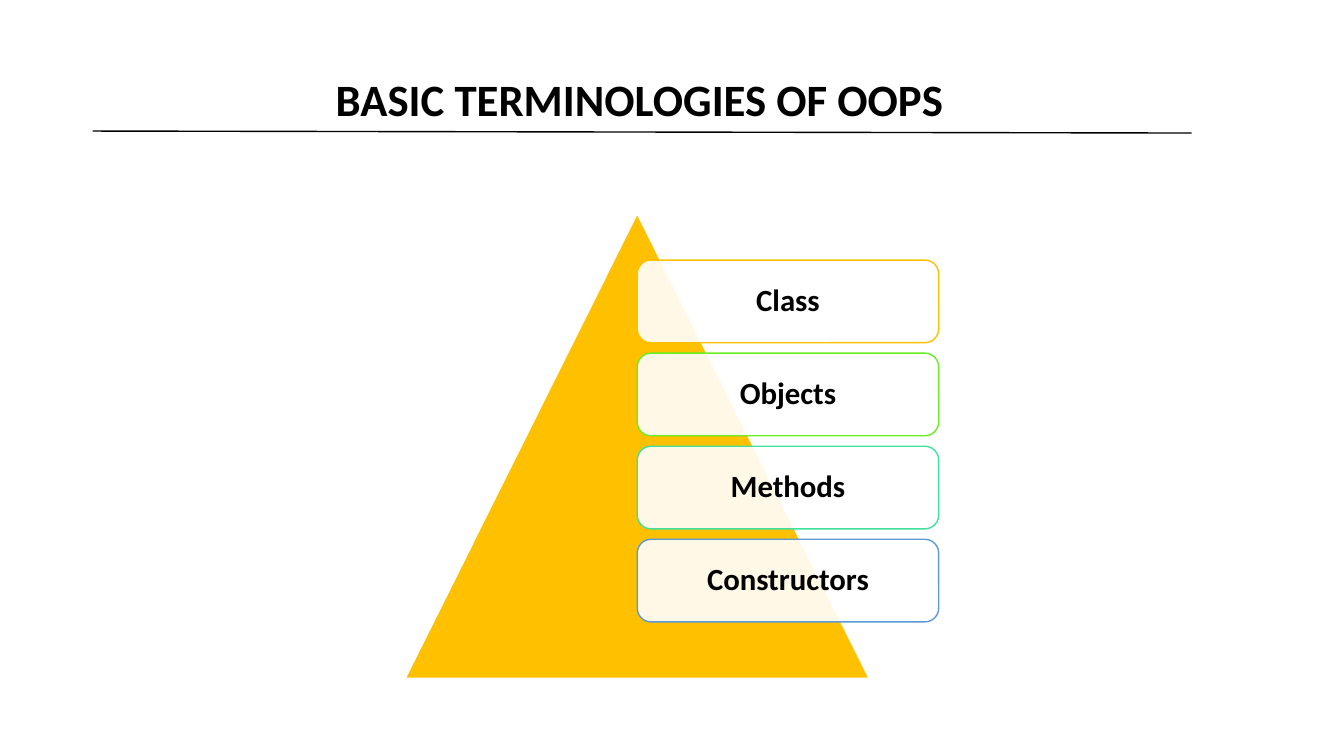
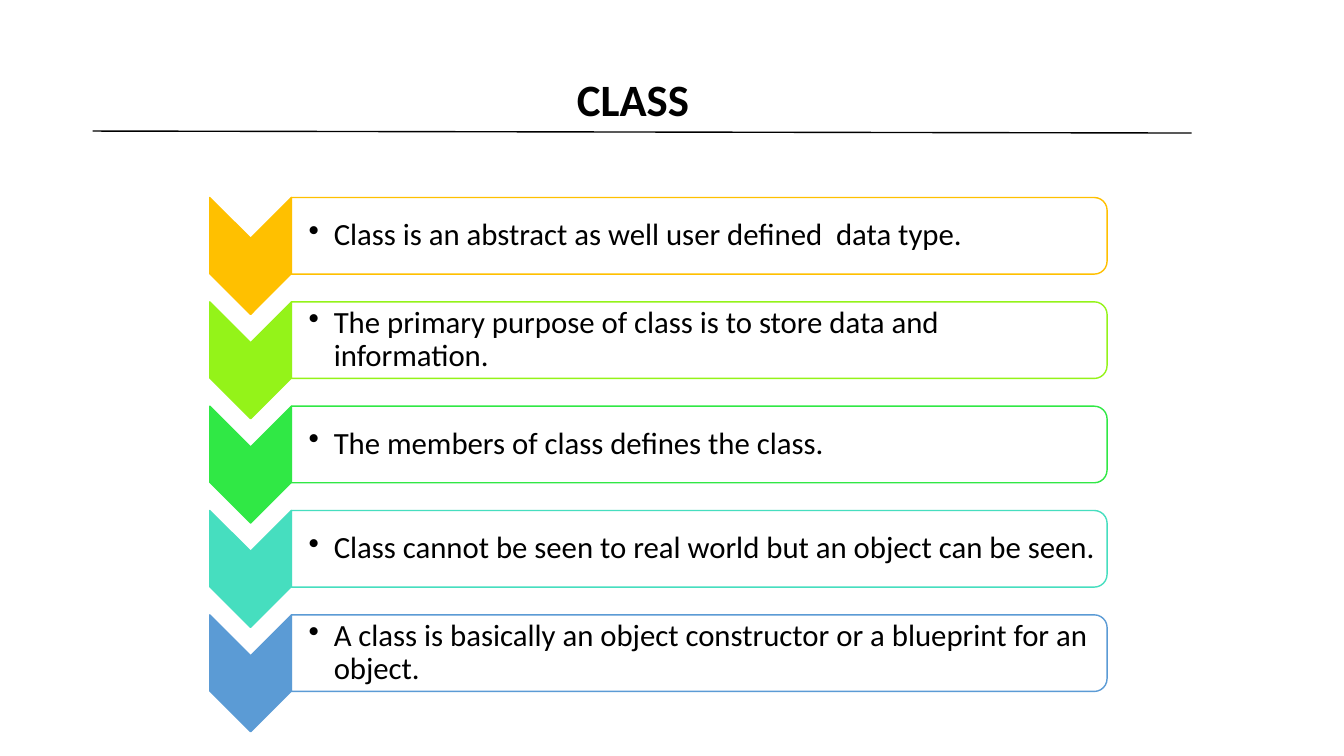
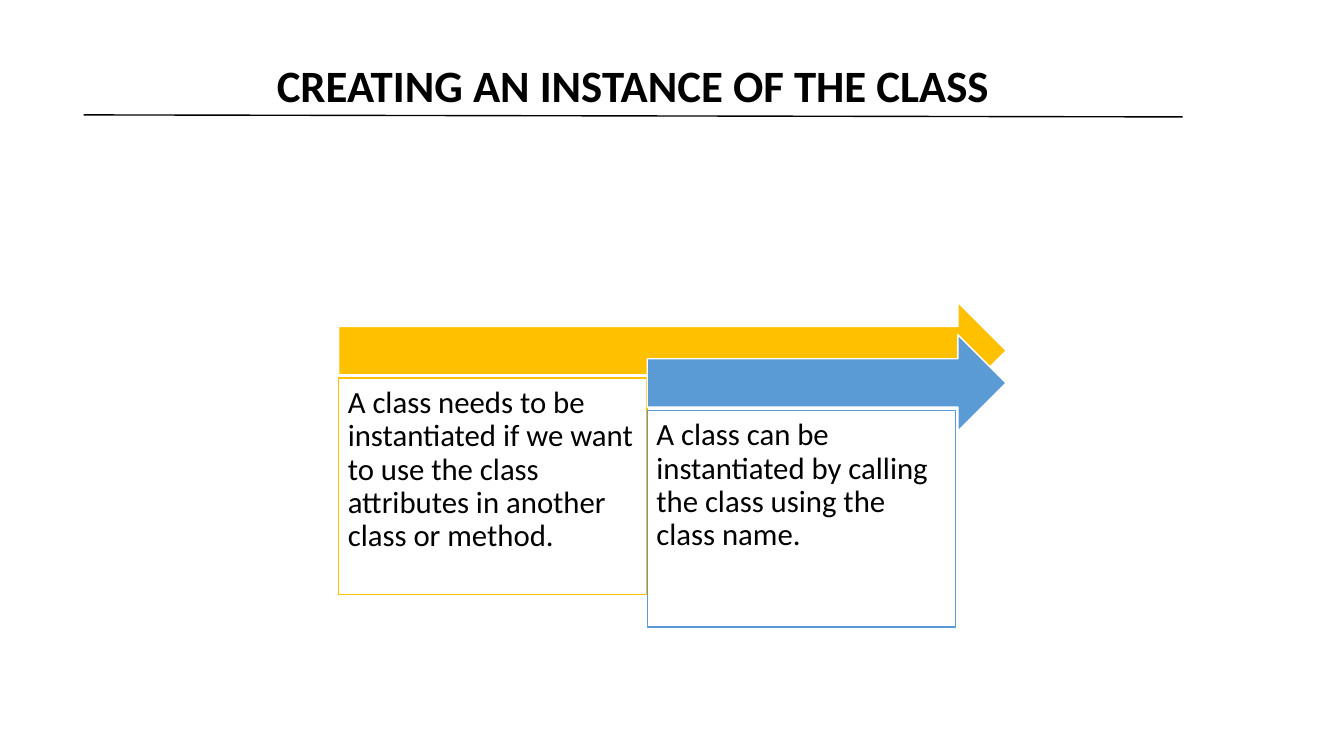
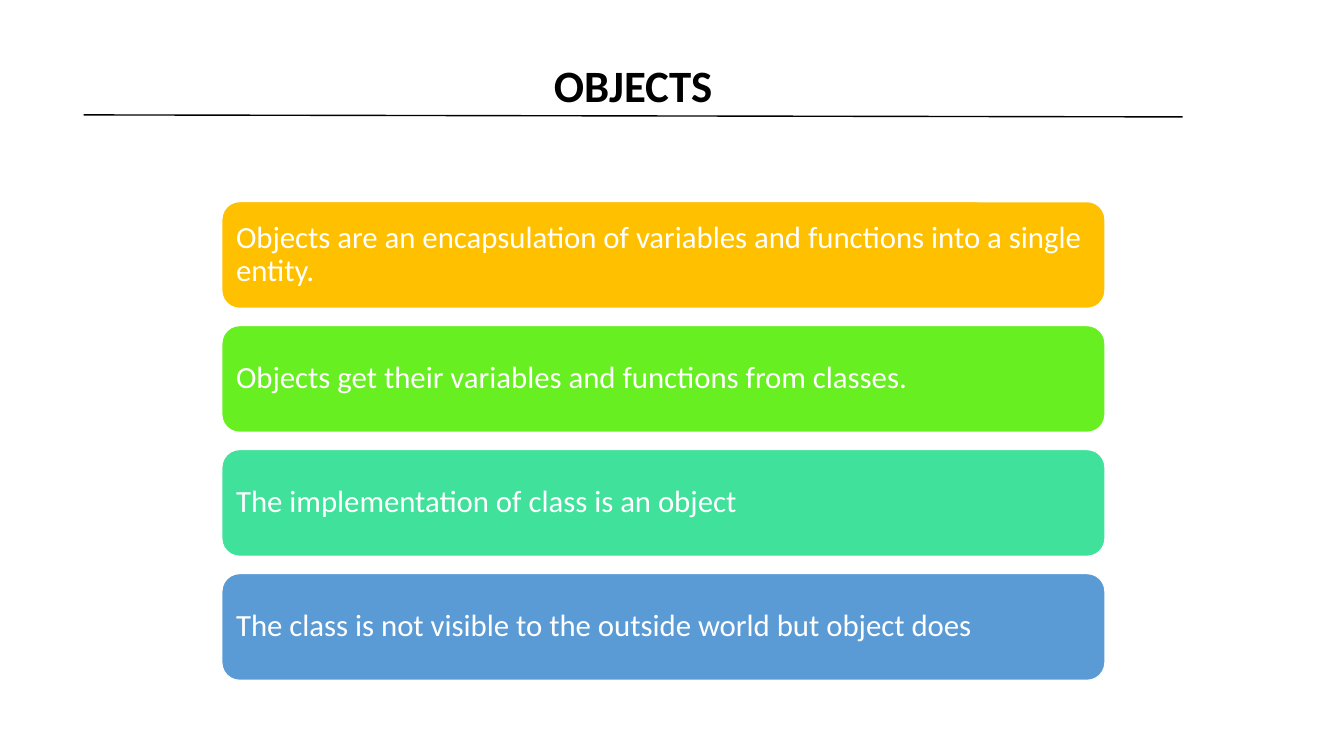
from lxml import etree
from pptx import Presentation
from pptx.dml.color import RGBColor
from pptx.enum.shapes import MSO_CONNECTOR, MSO_SHAPE
from pptx.enum.text import MSO_ANCHOR, PP_ALIGN
from pptx.oxml.ns import qn
from pptx.util import Inches, Pt

LEFT, MID = PP_ALIGN.LEFT, PP_ALIGN.CENTER
TOP, CORE = MSO_ANCHOR.TOP, MSO_ANCHOR.MIDDLE
RECT, ROUND = MSO_SHAPE.RECTANGLE, MSO_SHAPE.ROUNDED_RECTANGLE
TAB, CHEVRON = MSO_SHAPE.ROUND_2_SAME_RECTANGLE, MSO_SHAPE.CHEVRON
PEAK, ARROW = MSO_SHAPE.ISOSCELES_TRIANGLE, MSO_SHAPE.RIGHT_ARROW
STRAIGHT = MSO_CONNECTOR.STRAIGHT

FONT = "Calibri"
COLORS = {
    "ink": "000000", "white": "FFFFFF", "gold": "FFC000", "lime": "94F319",
    "grass": "67EF21", "green": "30E845", "mint": "3FE19B", "teal": "46DEBF",
    "blue": "5B9BD5",
}
FOUR = ["gold", "grass", "mint", "blue"]
FIVE = ["gold", "lime", "green", "teal", "blue"]


def rgb(name):
    return RGBColor.from_string(COLORS[name])


def inches(box):
    return [Inches(v) for v in box]


def write(shape, text, size=22, color="ink", bold=False, align=LEFT,
          anchor=CORE, pad=(0.09, 0.09, 0.09, 0.09), space=0.9, bullet=False):
    """Fill a shape or text box with one paragraph; pad is left, top, right, bottom."""
    frame = shape.text_frame
    frame.word_wrap = True
    frame.vertical_anchor = anchor
    (frame.margin_left, frame.margin_top,
     frame.margin_right, frame.margin_bottom) = inches(pad)
    para = frame.paragraphs[0]
    para.alignment = align
    para.line_spacing = space
    if bullet:
        props = para._p.get_or_add_pPr()
        props.set("marL", str(Inches(0.25)))
        props.set("indent", str(Inches(-0.25)))
        etree.SubElement(props, qn("a:buChar")).set("char", "•")
    run = para.add_run()
    run.text = text
    font = run.font
    font.name, font.size, font.bold = FONT, Pt(size), bold
    font.color.rgb = rgb(color)


def draw(slide, kind, box, fill, line, alpha=100):
    shape = slide.shapes.add_shape(kind, *inches(box))
    shape.shadow.inherit = False
    shape.fill.solid()
    shape.fill.fore_color.rgb = rgb(fill)
    if alpha < 100:
        tone = shape.fill._xPr.find(".//" + qn("a:srgbClr"))
        etree.SubElement(tone, qn("a:alpha")).set("val", str(alpha * 1000))
    shape.line.color.rgb = rgb(line)
    shape.line.width = Pt(1)
    return shape


def turn(slide, kind, box, *style, **more):
    """Draw a shape turned by 90 degrees so that it covers the given box."""
    x, y, w, h = box
    shift = (w - h) / 2
    shape = draw(slide, kind, (x + shift, y - shift, h, w), *style, **more)
    shape.rotation = 90


def rows(top, total, height, count):
    """Tops of equal rows spread over a total height."""
    step = (total - height) / (count - 1)
    return [top + i * step for i in range(count)]


def head(slide, text, box, rule):
    """Title in its box, with a rule that starts at the given point."""
    write(slide.shapes.add_textbox(*inches(box)), text, size=32, bold=True,
          align=MID, anchor=TOP, pad=(0.1, 0.05, 0.1, 0.05), space=1)
    x, y = rule
    line = slide.shapes.add_connector(
        STRAIGHT, *inches((x, y, x + 10.9, y + 0.02)))
    line.line.color.rgb = rgb("ink")
    line.line.width = Pt(1)
    etree.SubElement(line._element.spPr, qn("a:effectLst"))


def pyramid(slide, box, terms):
    x, y, w, h = box
    draw(slide, PEAK, (x, y, w, h), "gold", "white")
    tall = 0.82
    tops = rows(y + 0.46, 3.59, tall, len(terms))
    for term, top, color in zip(terms, tops, FOUR):
        card = draw(slide, ROUND, (x + w / 2, top, 2.99, tall), "white", color,
                    alpha=90)
        write(card, term, bold=True, align=MID)


def steps(slide, box, points):
    x, y, w, h = box
    wide, tall, bar = 0.81, 1.16, 0.76
    for point, top, color in zip(points, rows(y, h, tall, len(points)), FIVE):
        turn(slide, CHEVRON, (x, top, wide, tall), color, color)
        body = (x + wide, top, w - wide, bar)
        turn(slide, TAB, body, "white", color, alpha=90)
        area = (x + wide, top + 0.04, w - wide - 0.04, bar - 0.08)
        write(slide.shapes.add_textbox(*inches(area)), point, bullet=True,
              pad=(0.17, 0.02, 0.02, 0.02))


def arrows(slide, box, notes):
    x, y, w, h = box
    wide, drop, sink = 3.06, 0.32, 0.75
    tall = h - sink - drop * (len(notes) - 1)
    for i, (note, color) in enumerate(zip(notes, ["gold", "blue"])):
        left, top = x + i * wide, y + i * drop
        draw(slide, ARROW, (left, top, x + w - left, 0.96), color, "white")
        panel = draw(slide, RECT, (left, top + sink, wide, tall), "white", color)
        write(panel, note, anchor=TOP)


def bars(slide, box, points):
    x, y, w, h = box
    tall = 1.06
    for point, top, color in zip(points, rows(y, h, tall, len(points)), FOUR):
        bar = draw(slide, ROUND, (x, top, w, tall), color, "white")
        write(bar, point, color="white")


LOW, HIGH = (0.92, 1.3), (0.83, 1.14)
PAGES = [
    ("BASIC TERMINOLOGIES OF OOPS", (0.87, 0.66, 10.95, 0.64), LOW,
     pyramid, (4.02, 2.12, 4.6, 4.61),
     ["Class", "Objects", "Methods", "Constructors"]),
    ("CLASS", (0.83, 0.66, 10.9, 0.64), LOW,
     steps, (2.08, 1.96, 8.9, 5.3),
     ["Class is an abstract as well user defined  data type.",
      "The primary purpose of class is to store data and  information.",
      "The members of class defines the class.",
      "Class cannot be seen to real world but an object can be seen.",
      "A class is basically an object constructor or a blueprint for an object."]),
    ("CREATING AN INSTANCE OF THE CLASS", (0.83, 0.52, 10.9, 0.64), HIGH,
     arrows, (3.36, 3, 6.62, 3.22),
     ["A class needs to be instantiated if we want to use the class "
      "attributes in another class or method.",
      "A class can be instantiated by calling the class using the class name."]),
    ("OBJECTS", (0.83, 0.52, 10.9, 0.64), HIGH,
     bars, (2.2, 2, 8.76, 4.75),
     ["Objects are an encapsulation of variables and functions into a single "
      "entity.",
      "Objects get their variables and functions from classes.",
      "The implementation of class is an object",
      "The class is not visible to the outside world but object does"]),
]


def main():
    deck = Presentation()
    deck.slide_width, deck.slide_height = Inches(13.33), Inches(7.5)
    for title, box, rule, build, area, texts in PAGES:
        slide = deck.slides.add_slide(deck.slide_layouts[6])
        head(slide, title, box, rule)
        build(slide, area, texts)
    deck.save("out.pptx")


if __name__ == "__main__":
    main()
